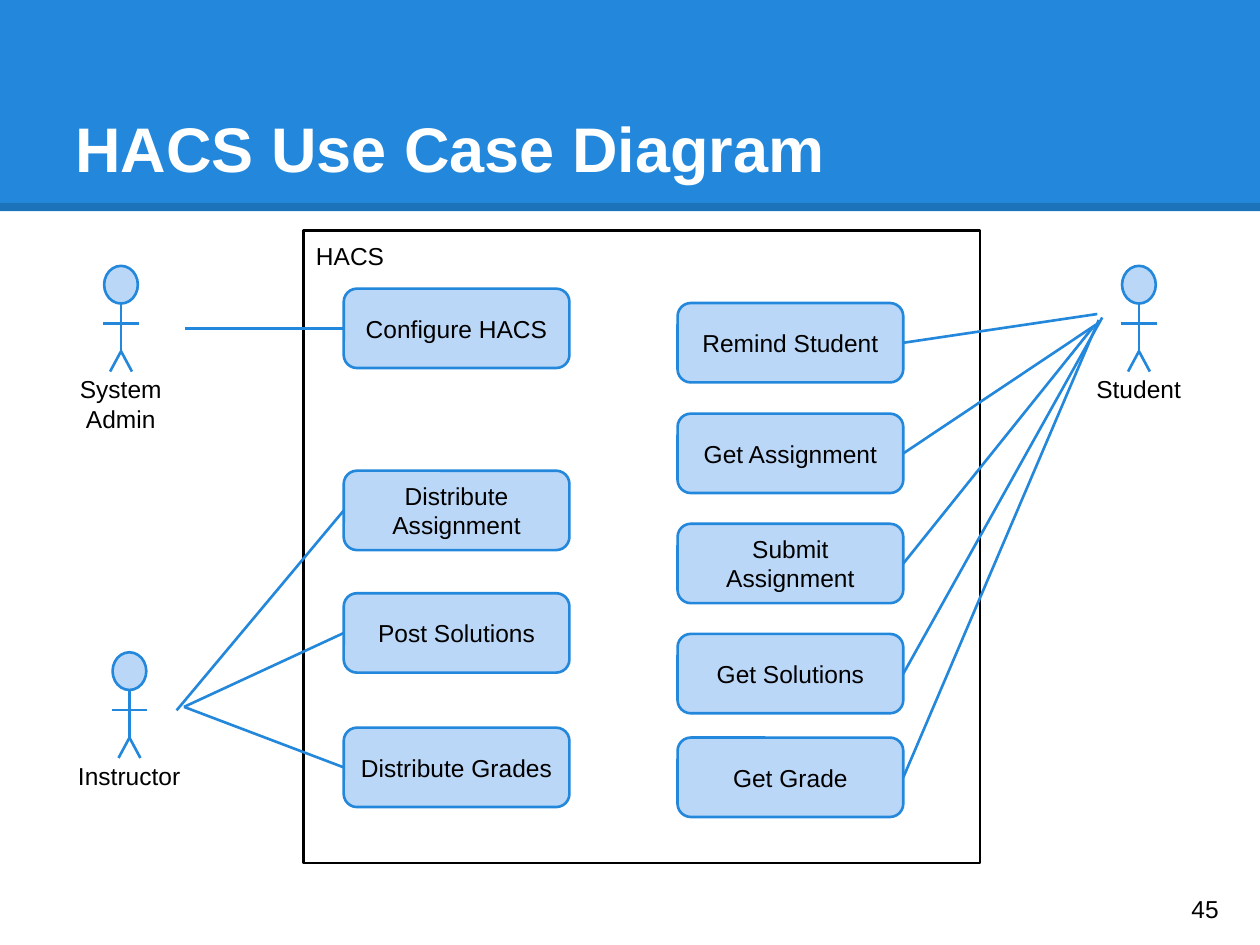
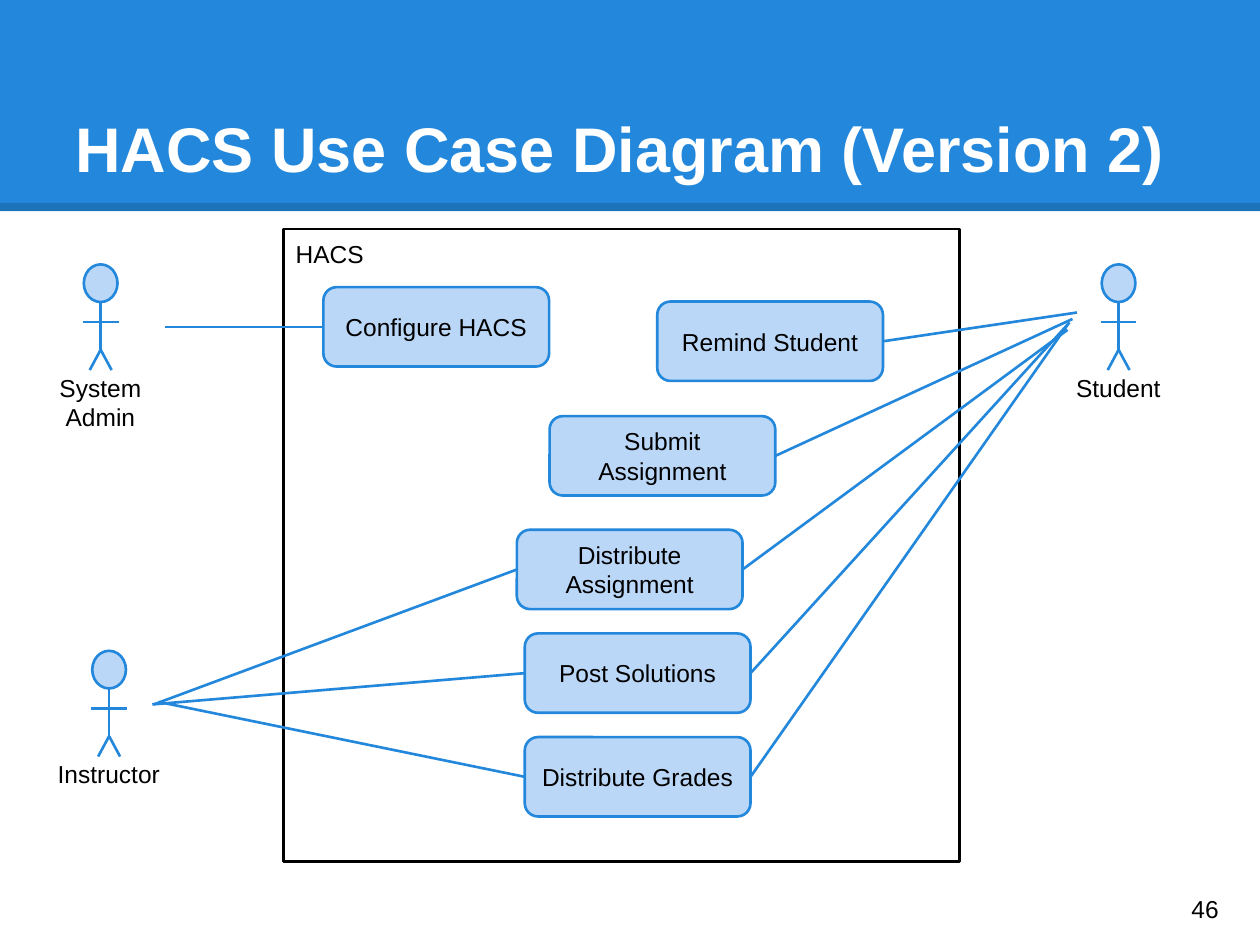
from lxml.etree import SubElement
from pptx import Presentation
from pptx.dml.color import RGBColor
from pptx.enum.shapes import MSO_CONNECTOR, MSO_SHAPE
from pptx.enum.text import MSO_ANCHOR, MSO_AUTO_SIZE, PP_ALIGN
from pptx.oxml.ns import qn
from pptx.util import Cm, Pt

BLUE, PALE, WHITE, BLACK = "2388DB", "BBD7F8", "FFFFFF", "000000"
FONT = "Arial"
LEFT, RIGHT = 1, 3  # connection sites of a box
CASE_W, CASE_H = 4.55, 1.6


def rgb(code):
    return RGBColor.from_string(code)


def write(shape, text, size=14, color=BLACK, bold=False,
          align=PP_ALIGN.LEFT, anchor=MSO_ANCHOR.MIDDLE):
    frame = shape.text_frame
    frame.text = text
    frame.word_wrap = True
    frame.auto_size = MSO_AUTO_SIZE.NONE
    frame.vertical_anchor = anchor
    frame.margin_left = frame.margin_right = Cm(0.25)
    frame.margin_top = frame.margin_bottom = Cm(0.25)
    para = frame.paragraphs[0]
    para.alignment = align
    for run in para.runs:
        font = run.font
        font.name, font.size, font.bold = FONT, Pt(size), bold
        font.color.rgb = rgb(color)


def add_box(slide, kind, x, y, w, h, fill, edge=None):
    box = slide.shapes.add_shape(kind, Cm(x), Cm(y), Cm(w), Cm(h))
    box.shadow.inherit = False
    box.fill.solid()
    box.fill.fore_color.rgb = rgb(fill)
    if edge:
        box.line.color.rgb = rgb(edge)
        box.line.width = Pt(1.5)
    else:
        box.line.fill.background()
    return box


def add_line(slide, start, end, color=BLUE, width=1.5):
    points = [Cm(n) for n in (*start, *end)]
    line = slide.shapes.add_connector(MSO_CONNECTOR.STRAIGHT, *points)
    line.line.color.rgb = rgb(color)
    line.line.width = Pt(width)
    SubElement(line.element.spPr, qn("a:effectLst"))
    return line


def add_label(slide, text, x, y, w, h, **style):
    label = slide.shapes.add_textbox(Cm(x), Cm(y), Cm(w), Cm(h))
    write(label, text, **style)


def add_band(slide):
    add_box(slide, MSO_SHAPE.RECTANGLE, 0, 0, 25.4, 4.26, BLUE)
    rule = add_line(slide, (0, 4.17), (25.4, 4.17), BLACK, 4.5)
    tint = rule.element.spPr.find(".//" + qn("a:srgbClr"))
    SubElement(tint, qn("a:alpha")).set("val", "15000")


def add_title(slide, text):
    title = slide.shapes.title
    title.left, title.top = Cm(1.27), Cm(0.8)
    title.width, title.height = Cm(22.86), Cm(3.18)
    write(title, text, 36, WHITE, True, anchor=MSO_ANCHOR.BOTTOM)
    # Bring the title in front of the band
    title.element.getparent().append(title.element)


def add_actor(slide, name, x, y):
    """Draw a stick figure centred on x, with its head starting at y."""
    add_box(slide, MSO_SHAPE.OVAL, x - 0.34, y, 0.68, 0.76, PALE, BLUE)
    hip = (x, y + 1.72)
    add_line(slide, (x, y + 0.76), hip)
    for side in (-0.22, 0.22):
        add_line(slide, hip, (x + side, y + 2.13))
    add_line(slide, (x - 0.36, y + 1.16), (x + 0.36, y + 1.16))
    add_label(slide, name, x - 1.58, y + 1.94, 3.15, 0.76,
              align=PP_ALIGN.CENTER, anchor=MSO_ANCHOR.TOP)


def add_case(slide, name, x, y, left=None, right=None):
    """Draw a use case, joined to the points given on its left and right."""
    case = add_box(slide, MSO_SHAPE.ROUNDED_RECTANGLE, x, y,
                   CASE_W, CASE_H, PALE, BLUE)
    write(case, name, align=PP_ALIGN.CENTER)
    for point, site in ((left, LEFT), (right, RIGHT)):
        if point:
            add_line(slide, point, point).end_connect(case, site)


def add_base(deck, title, page, dx=0, dy=0):
    """Start a slide with the system, actors and cases both versions share."""
    slide = deck.slides.add_slide(deck.slide_layouts[5])
    add_band(slide)
    add_title(slide, title)
    system = add_box(slide, MSO_SHAPE.RECTANGLE, 6.12 + dx, 4.65 + dy,
                     13.64, 12.75, WHITE, BLACK)
    write(system, "HACS", anchor=MSO_ANCHOR.TOP)
    system.text_frame.margin_top = Cm(0.2)
    for name, x, y in (("System Admin", 2.44, 5.36),
                       ("Instructor", 2.61, 13.15),
                       ("Student", 22.96, 5.36)):
        add_actor(slide, name, x + dx, y + dy)
    add_case(slide, "Configure HACS", 6.93 + dx, 5.82 + dy,
             left=(3.73 + dx, 6.62 + dy))
    add_case(slide, "Remind Student", 13.66 + dx, 6.11 + dy,
             right=(22.12 + dx, 6.33 + dy))
    add_label(slide, str(page), 23.77, 17.6, 1.52, 1.45)
    return slide


def add_first(deck):
    slide = add_base(deck, "HACS Use Case Diagram", 45)
    for name, y, hub in (("Distribute Assignment", 9.49, (3.56, 14.32)),
                         ("Post Solutions", 11.96, (3.71, 14.25)),
                         ("Distribute Grades", 14.67, (3.71, 14.25))):
        add_case(slide, name, 6.93, y, left=hub)
    for name, y, hub in (("Get Assignment", 8.34, (22.1, 6.54)),
                         ("Submit Assignment", 10.56, (22.03, 6.6)),
                         ("Get Solutions", 12.78, (22.22, 6.4)),
                         ("Get Grade", 14.87, (22.15, 6.45))):
        add_case(slide, name, 13.66, y, right=hub)


def add_second(deck):
    slide = add_base(deck, "HACS Use Case Diagram (Version 2)", 46,
                     -0.41, -0.03)
    add_case(slide, "Submit Assignment", 11.08, 8.39, right=(21.62, 6.43))
    add_case(slide, "Distribute Assignment", 10.42, 10.68,
             (3.1, 14.2), (21.52, 6.65))
    add_case(slide, "Post Solutions", 10.58, 12.77,
             (3.07, 14.2), (21.56, 6.5))
    add_case(slide, "Distribute Grades", 10.58, 14.86,
             (3.2, 14.15), (21.52, 6.55))


def main():
    deck = Presentation()
    deck.slide_width, deck.slide_height = Cm(25.4), Cm(19.05)
    add_first(deck)
    add_second(deck)
    deck.save("out.pptx")


if __name__ == "__main__":
    main()
